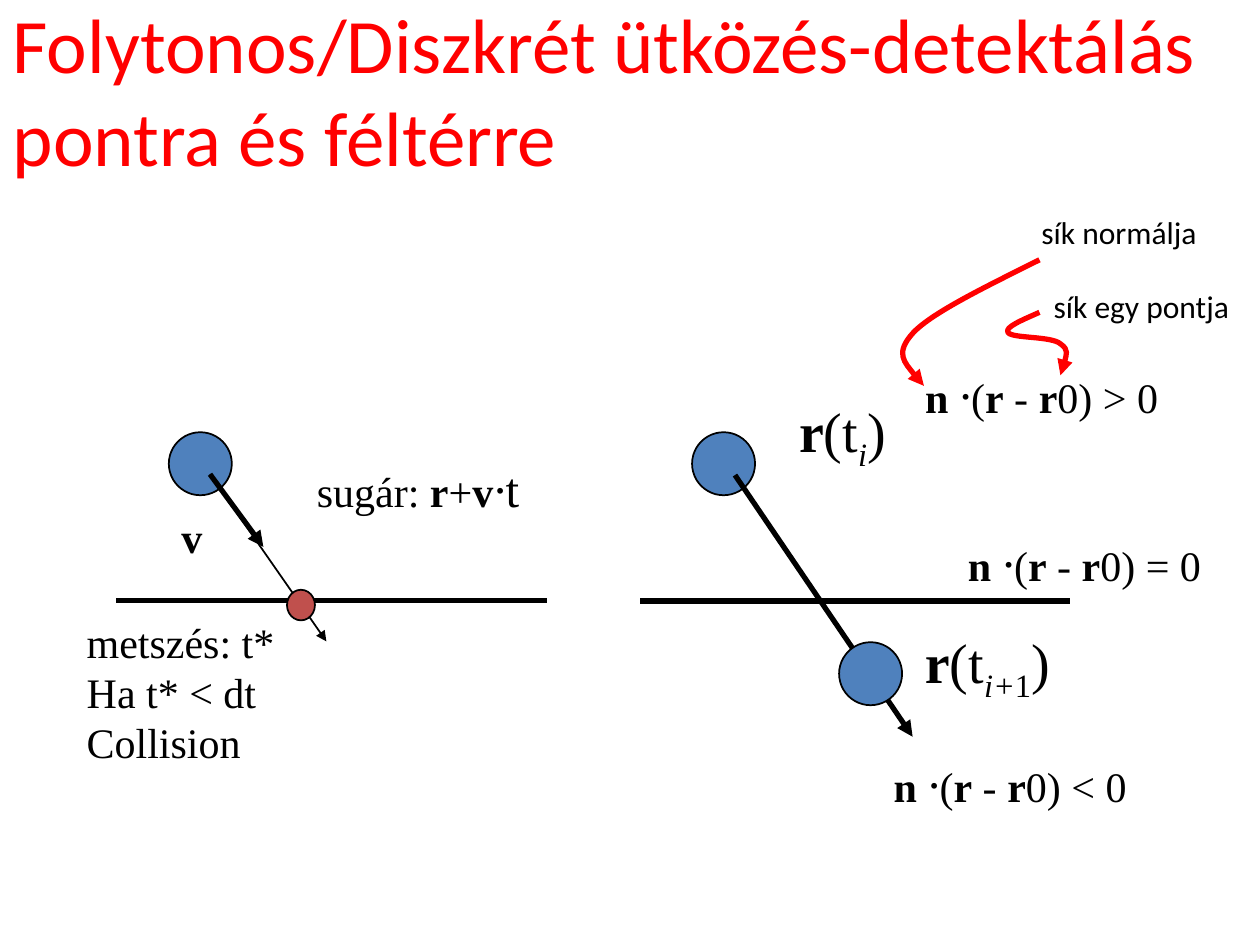
from dataclasses import dataclass

from lxml import etree
from pptx import Presentation
from pptx.dml.color import RGBColor
from pptx.enum import shapes, text
from pptx.oxml import ns
from pptx.util import Pt


@dataclass(frozen=True)
class Theme:
    """Colours, fonts and type sizes of the slide."""
    ink: str = "000000"
    red: str = "FF0000"
    ball: str = "4F81BD"
    hit: str = "C0504D"
    sans: str = "Calibri"
    serif: str = "Times New Roman"
    head: int = 44
    big: int = 32
    dot: int = 28
    body: int = 24
    note: int = 18
    thin: int = 1
    thick: int = 3


THEME = Theme()


def rgb(code):
    """Turn a hex code into a colour."""
    return RGBColor.from_string(code)


class Region:
    """Draws parts relative to the left top corner of a box."""

    def __init__(self, slide, left, top):
        """Keep the slide's shapes and the corner."""
        self.shapes, self.left, self.top = slide.shapes, left, top

    def place(self, x, y):
        """Give the slide position of a point of the box."""
        return Pt(self.left + x), Pt(self.top + y)

    def disc(self, x, y, wide, high, fill):
        """Draw an outlined disc."""
        disc = self.shapes.add_shape(
            shapes.MSO_SHAPE.OVAL, *self.place(x, y), Pt(wide), Pt(high))
        disc.shadow.inherit = False
        disc.fill.solid()
        disc.fill.fore_color.rgb = rgb(fill)
        stroke(disc, THEME.ink, THEME.thin)

    def line(self, start, end, width=THEME.thick, arrow=False):
        """Draw a straight line, with an arrowhead if asked."""
        line = self.shapes.add_connector(
            shapes.MSO_CONNECTOR.STRAIGHT, *self.place(*start), *self.place(*end))
        stroke(line, THEME.ink, width, arrow)
        etree.SubElement(line._element.spPr, ns.qn("a:effectLst"))

    def curve(self, start, *points):
        """Draw a red arrow of cubic arcs, three points to an arc."""
        form = self.shapes.build_freeform(*self.place(*start))
        form.add_line_segments([self.place(*p) for p in points], close=False)
        curve = form.convert_to_shape()
        curve.shadow.inherit = False
        curve.fill.background()
        stroke(curve, THEME.red, THEME.thick, True)
        path = next(curve._element.iter(ns.qn("a:path")))
        steps = path.findall(ns.qn("a:lnTo"))
        for n in range(0, len(steps), 3):
            arc = etree.SubElement(path, ns.qn("a:cubicBezTo"))
            for step in steps[n:n + 3]:
                arc.append(step[0])
                path.remove(step)

    def label(self, x, y, wide, high, *lines, size=THEME.body, face=THEME.serif):
        """Write lines of (words, marks) runs: b bold, i italic, s sub, d dot."""
        box = self.shapes.add_textbox(*self.place(x, y), Pt(wide), Pt(high))
        frame = box.text_frame
        frame.word_wrap = False
        frame.auto_size = text.MSO_AUTO_SIZE.SHAPE_TO_FIT_TEXT
        for n, runs in enumerate(lines):
            par = frame.add_paragraph() if n else frame.paragraphs[0]
            par.font.name, par.font.size = face, Pt(size)
            par.font.color.rgb = rgb(THEME.ink)
            for words, marks in runs:
                run = par.add_run()
                run.text = words
                if "b" in marks:
                    run.font.bold = True
                if "i" in marks:
                    run.font.italic = True
                if "d" in marks:
                    run.font.size = Pt(THEME.dot)
                if "s" in marks:
                    run._r.get_or_add_rPr().set("baseline", "-25000")


def stroke(shape, color, width, arrow=False):
    """Set a shape's line and its arrowhead."""
    shape.line.color.rgb = rgb(color)
    shape.line.width = Pt(width)
    if arrow:
        tail = etree.SubElement(shape.line._get_or_add_ln(), ns.qn("a:tailEnd"))
        tail.set("type", "triangle")


def title(slide, left, top, wide, high):
    """Fill and place the title."""
    head = slide.shapes.title
    head.left, head.top, head.width, head.height = map(Pt, (left, top, wide, high))
    frame = head.text_frame
    frame.text = "Folytonos/Diszkrét ütközés-detektálás pontra és féltérre"
    frame.vertical_anchor = text.MSO_ANCHOR.MIDDLE
    frame.word_wrap = True
    frame.auto_size = text.MSO_AUTO_SIZE.NONE
    par = frame.paragraphs[0]
    par.alignment = text.PP_ALIGN.LEFT
    par.font.name, par.font.size = THEME.sans, Pt(THEME.head)
    par.font.color.rgb = rgb(THEME.red)


def steps(slide, left, top):
    """Draw the discrete test: two positions on either side of the plane."""
    area = Region(slide, left, top)
    area.disc(29.5, 129, 36, 36, THEME.ball)
    area.line((54, 153.5), (155.5, 303), arrow=True)
    area.line((0, 225.5), (245.5, 225.5))
    area.label(83.5, 105, 65, 45, [("r", "b"), ("(t", ""), ("i", "is"), (")", "")],
               size=THEME.big)
    area.label(155.5, 237, 89, 45,
               [("r", "b"), ("(t", ""), ("i+", "is"), ("1", "s"), (")", "")],
               size=THEME.big)
    area.disc(113.5, 249, 36, 36, THEME.ball)
    for x, y, sign in ((180, 183, "="), (155.5, 87, ">"), (137.5, 309, "<")):
        area.label(x, y, 147.5, 41,
                   [("n ", "b"), ("·", "id"), ("(", ""), ("r", "b"), (" - ", ""),
                    ("r", "b"), (f"0) {sign} 0", "")])
    for x, y, wide, words in ((222, 0, 112, "sík normálja"),
                              (229, 42.5, 125, "sík egy pontja")):
        area.label(x, y, wide, 29, [(words, "")], size=THEME.note, face=THEME.sans)
    area.curve((228, 30.5), (198, 45.5), (167, 60.5), (156, 72),
               (145, 84), (154, 93.5), (162, 102.5))
    area.curve((228, 60.5), (218, 65), (208, 69), (210, 72),
               (212, 75.5), (235, 74), (240, 78.5),
               (245, 82), (242.5, 89.5), (240, 96.5))


def ray(slide, left, top):
    """Draw the continuous test: a ray cut by the plane."""
    area = Region(slide, left, top)
    area.disc(54.5, 0, 36, 36, THEME.ball)
    area.line((78, 24), (108.5, 65.5), arrow=True)
    area.line((24.5, 96), (270.5, 96))
    area.label(54.5, 42, 26.5, 36, [("v", "b")])
    area.line((78, 24), (144.5, 119.5), THEME.thin, True)
    area.label(132, 11.5, 130.5, 41,
               [("sugár: ", ""), ("r", "b"), ("+", ""), ("v", "b"),
                ("·", "id"), ("t", "d")])
    area.disc(122, 90, 16, 17.5, THEME.hit)
    area.label(0.5, 101.5, 205, 65,
               [("metszés: t*", "")], [("Ha t* < dt Collision", "")])


def main():
    """Build and save the slide."""
    deck = Presentation()
    deck.slide_width, deck.slide_height = Pt(720), Pt(540)
    slide = deck.slides.add_slide(deck.slide_layouts[5])
    title(slide, 0, 6, 720, 90)
    steps(slide, 366, 118)
    ray(slide, 42, 247)
    deck.save("out.pptx")


if __name__ == "__main__":
    main()
